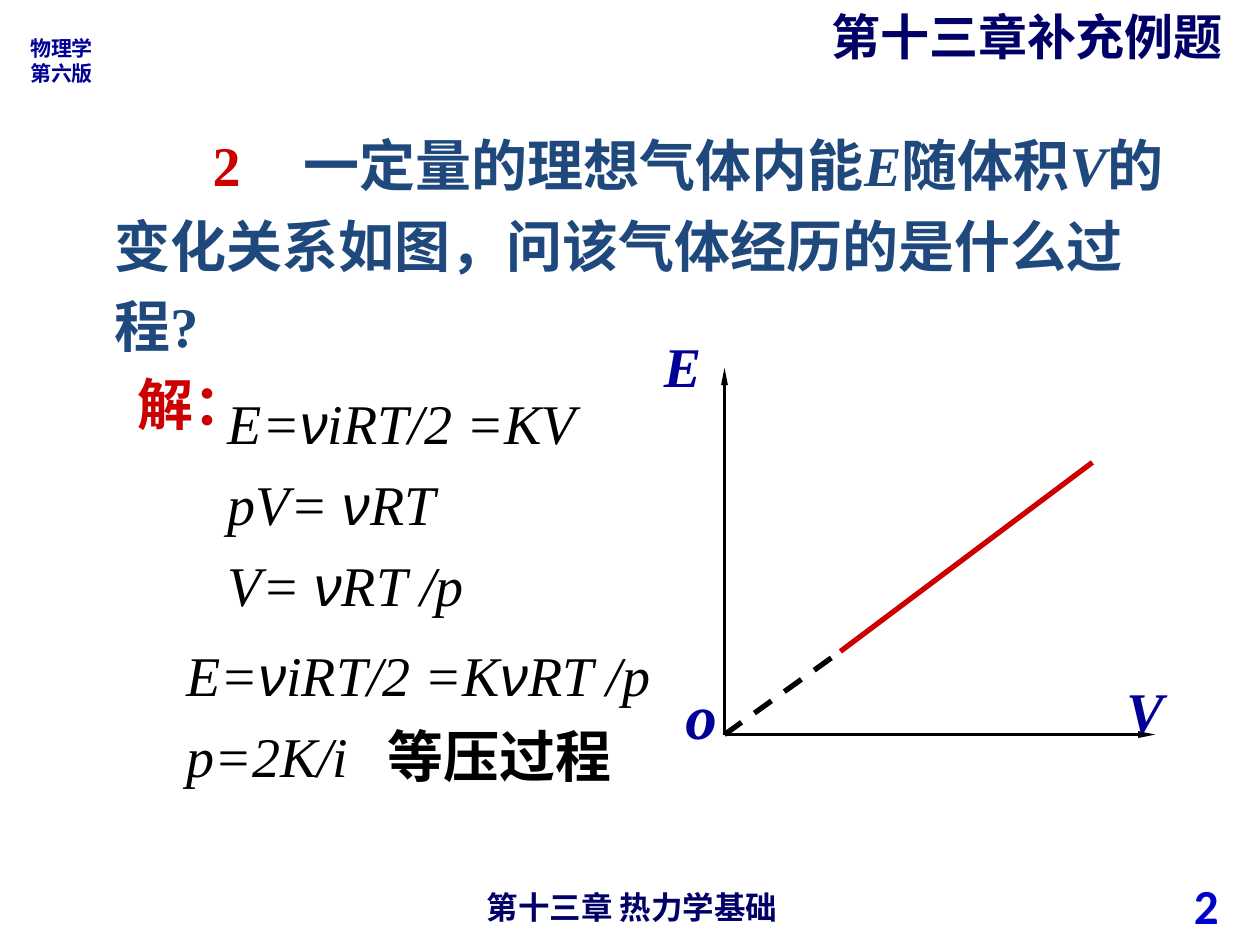
from pptx import Presentation
from pptx.dml.color import RGBColor
from pptx.enum import dml, shapes, text
from pptx.oxml.ns import qn
from pptx.util import Inches, Pt
from lxml import etree

NAVY = RGBColor(0x00, 0x00, 0x66)
BLUE = RGBColor(0x00, 0x00, 0x99)
NUMBER_BLUE = RGBColor(0x00, 0x00, 0xCC)
STEEL = RGBColor(0x1F, 0x49, 0x7D)
RED = RGBColor(0xCC, 0x00, 0x00)
BLACK = RGBColor(0x00, 0x00, 0x00)

CJK = "Noto Sans CJK SC"
SERIF = "Times New Roman"
SANS = "Arial"
LEFT, CENTER, RIGHT = text.PP_ALIGN.LEFT, text.PP_ALIGN.CENTER, text.PP_ALIGN.RIGHT

LABELS = [
    ((0.14, 0.23, 0.72, 0.5), ["物理学", "第六版"], 12, CJK, BLUE, {}),
    ((7.44, 6.98, 2.33, 0.4), ["2"], 28, "Calibri", NUMBER_BLUE,
     {"align": RIGHT, "anchor": text.MSO_ANCHOR.MIDDLE, "grow": False}),
    ((3.43, 7, 3.17, 0.29), ["第十三章 热力学基础"], 18, CJK, NAVY,
     {"align": CENTER, "grow": False}),
    ((6.5, 0, 3.5, 0.57), ["第十三章补充例题"], 28, CJK, NAVY, {"before": 17.5}),
    ((0.99, 2.88, 1.09, 0.64), ["解："], 32, SANS, RED, {"wrap": False}),
]
AXIS_LABELS = [
    ("E", 5.17, 2.58, 0.49, 0.64, 32),
    ("V", 8.84, 5.32, 0.49, 0.64, 32),
    ("o", 5.34, 5.32, 0.45, 0.7, 36),
]
QUESTION = [
    ("2\t", RED, False),
    ("一定量的理想气体内能", STEEL, False),
    ("E", STEEL, True),
    ("随体积", STEEL, False),
    ("V", STEEL, True),
    ("的变化关系如图，问该气体经历的是什么过程?", STEEL, False),
]
FORMULAS = [
    ((1.71, 2.93, 2.98, 2.02), ["E=νiRT/2 =KV", "pV= νRT", "V= νRT /p"]),
    ((1.38, 4.93, 3.99, 1.38), ["E=νiRT/2 =KνRT /p", "p=2K/i\t等压过程"]),
]
ORIGIN, START, END = (5.75, 5.83), (6.67, 5.17), (8.67, 3.67)
LINES = [
    (ORIGIN, (5.75, 2.92), BLACK, 1.5, "arrow"),
    (ORIGIN, (9.17, 5.83), BLACK, 1.5, "arrow"),
    (ORIGIN, START, BLACK, 3, "dash"),
    (START, END, RED, 3, None),
]


def add_text(slide, box, align=LEFT, anchor=text.MSO_ANCHOR.TOP, grow=True, wrap=True):
    frame = slide.shapes.add_textbox(*map(Inches, box)).text_frame
    frame.word_wrap = wrap
    frame.vertical_anchor = anchor
    frame.auto_size = (text.MSO_AUTO_SIZE.SHAPE_TO_FIT_TEXT if grow
                       else text.MSO_AUTO_SIZE.NONE)
    frame.paragraphs[0].alignment = align
    return frame


def style(run, size, name, color, bold=True, italic=False):
    font = run.font
    font.size, font.name, font.bold, font.italic = Pt(size), name, bold, italic
    font.color.rgb = color
    etree.SubElement(run._r.get_or_add_rPr(), qn("a:ea"), typeface=CJK)


def add_tab(paragraph, position):
    tabs = etree.SubElement(paragraph._p.get_or_add_pPr(), qn("a:tabLst"))
    etree.SubElement(tabs, qn("a:tab"), pos=str(Inches(position)), algn="l")


def add_label(slide, box, lines, size, name, color, options, italic=False):
    options = dict(options)
    before = options.pop("before", 0)
    frame = add_text(slide, box, **options)
    frame.text = "\n".join(lines)
    for paragraph in frame.paragraphs:
        paragraph.alignment = options.get("align", LEFT)
        paragraph.space_before = Pt(before)
        style(paragraph.runs[0], size, name, color, italic=italic)


def add_question(slide):
    paragraph = add_text(slide, (0.81, 0.88, 8.6, 2.02)).paragraphs[0]
    paragraph.line_spacing = 1.2
    paragraph.space_before = Pt(20)
    paragraph._p.get_or_add_pPr().set("indent", str(Inches(0.78)))
    add_tab(paragraph, 1.32)
    for content, color, italic in QUESTION:
        run = paragraph.add_run()
        run.text = content
        style(run, 32, SERIF, color, italic=italic)


def add_formulas(slide, box, lines):
    frame = add_text(slide, box)
    for index, line in enumerate(lines):
        paragraph = frame.add_paragraph() if index else frame.paragraphs[0]
        paragraph.line_spacing = 1.2
        formula, tab, conclusion = line.partition("\t")
        if tab:
            add_tab(paragraph, 1.6)
        pieces = formula.replace("ν", "|ν|").split("|")
        pieces[-1] += tab
        for piece in pieces:
            run = paragraph.add_run()
            run.text = piece
            style(run, 32, SANS if piece == "ν" else SERIF, BLACK, False, True)
        if conclusion:
            run = paragraph.add_run()
            run.text = conclusion
            style(run, 32, SERIF, BLACK)


def add_line(slide, start, end, color, width, kind):
    connector = slide.shapes.add_connector(
        shapes.MSO_CONNECTOR.STRAIGHT, *map(Inches, start + end))
    connector.line.color.rgb = color
    connector.line.width = Pt(width)
    if kind == "dash":
        connector.line.dash_style = dml.MSO_LINE.DASH
    if kind == "arrow":
        etree.SubElement(connector.line._get_or_add_ln(), qn("a:tailEnd"),
                         type="triangle", w="sm", len="lg")
    etree.SubElement(connector._element.spPr, qn("a:effectLst"))


def main():
    presentation = Presentation()
    presentation.slide_width, presentation.slide_height = Inches(10), Inches(7.5)
    slide = presentation.slides.add_slide(presentation.slide_layouts[6])
    for label in LABELS:
        add_label(slide, *label)
    add_question(slide)
    for line in LINES:
        add_line(slide, *line)
    for name, left, top, width, height, size in AXIS_LABELS:
        add_label(slide, (left, top, width, height), [name], size, SERIF, BLUE,
                  {"wrap": False}, italic=True)
    for box, lines in FORMULAS:
        add_formulas(slide, box, lines)
    presentation.save("out.pptx")


if __name__ == "__main__":
    main()
